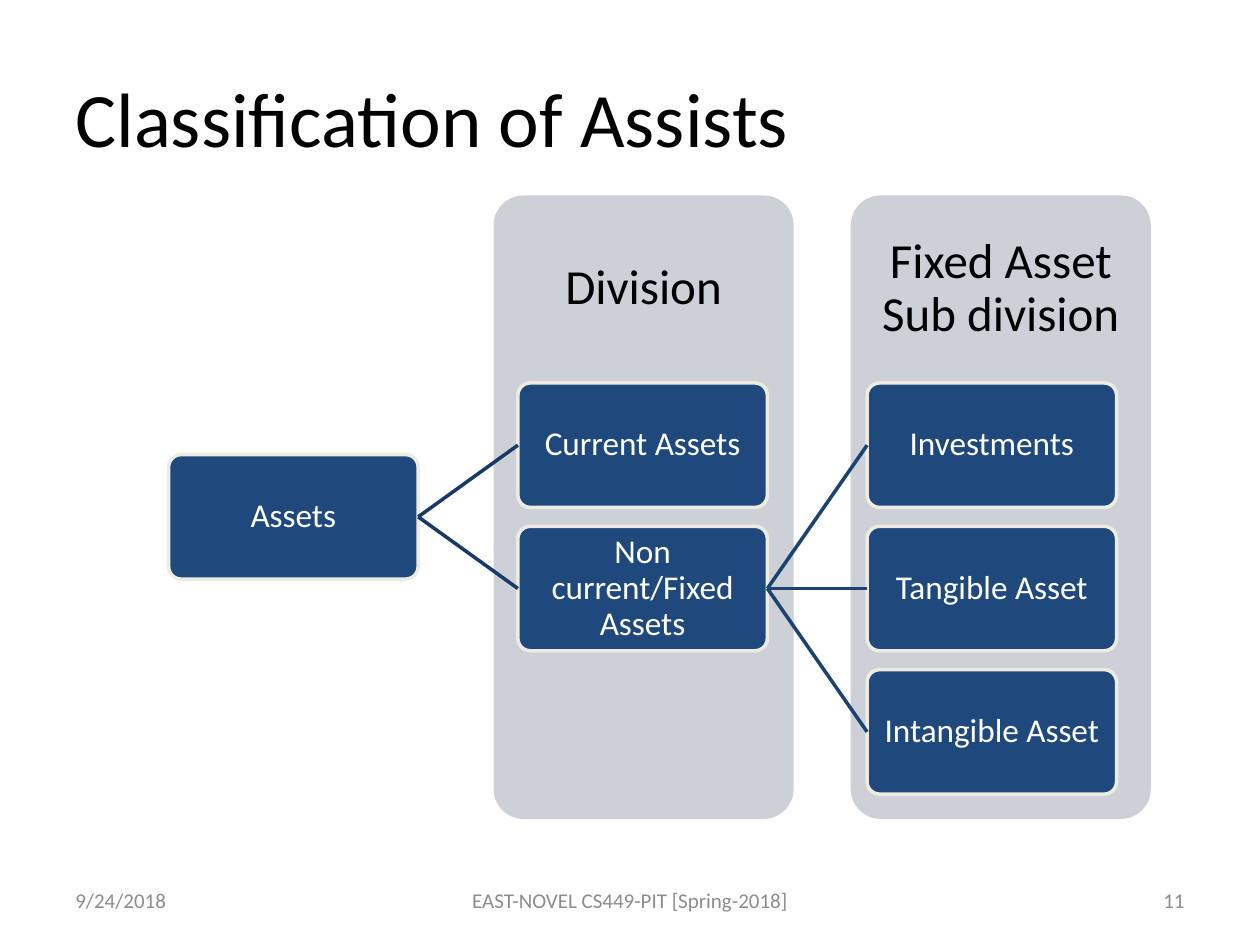
from lxml.etree import SubElement
from pptx import Presentation
from pptx.dml.color import RGBColor
from pptx.enum.shapes import MSO_CONNECTOR as Link, MSO_SHAPE as Shape
from pptx.enum.text import MSO_ANCHOR as Anchor, MSO_AUTO_SIZE as AutoSize, PP_ALIGN as Align
from pptx.oxml.ns import qn
from pptx.util import Cm, Pt

COLORS = {"ink": "000000", "footer": "8C8C8C", "column": "CDD0D7", "node": "1F497D",
          "edge": "EEECE1", "white": "FFFFFF", "first_link": "193A64", "second_link": "1C4271"}
LEFT_SITE, RIGHT_SITE = 1, 3


def color(name):
    """Return the named colour."""
    return RGBColor.from_string(COLORS[name])


def set_text(box, text, size, ink, align, inset=(0.25, 0.13), spacing=None):
    """Write one vertically centred paragraph into a box."""
    frame = box.text_frame
    frame.text = text
    frame.word_wrap = True
    frame.auto_size = AutoSize.NONE
    frame.vertical_anchor = Anchor.MIDDLE
    frame.margin_left = frame.margin_right = Cm(inset[0])
    frame.margin_top = frame.margin_bottom = Cm(inset[1])
    para = frame.paragraphs[0]
    para.alignment = align
    if spacing:
        para.line_spacing = spacing
    for span in para.runs:
        span.font.name = "Calibri"
        span.font.size = Pt(size)
        span.font.color.rgb = color(ink)


def add_text_box(page, left, top, width, height, *text_format, **options):
    """Add a formatted text box."""
    box = page.shapes.add_textbox(Cm(left), Cm(top), Cm(width), Cm(height))
    set_text(box, *text_format, **options)


def add_rounded_box(page, left, top, width, height, fill):
    """Add a flat rounded rectangle."""
    box = page.shapes.add_shape(Shape.ROUNDED_RECTANGLE, Cm(left), Cm(top), Cm(width), Cm(height))
    box.adjustments[0] = 0.1
    box.shadow.inherit = False
    box.fill.solid()
    box.fill.fore_color.rgb = color(fill)
    box.line.fill.background()
    return box


def add_title(page, left, top, width, height):
    """Place the slide title."""
    title = page.shapes.title
    title.left, title.top, title.width, title.height = map(Cm, (left, top, width, height))
    set_text(title, "Classification of Assists", 44, "ink", Align.LEFT)


def add_column(page, left, top, width, height, heading):
    """Add a grey column with its heading in the top three tenths."""
    add_rounded_box(page, left, top, width, height, "column")
    add_text_box(page, left, top, width, height * 0.3, heading, 28, "ink", Align.CENTER,
                 inset=(0.55, 0.55), spacing=0.9)


def add_node(page, left, top, width, height, text):
    """Add one box of the tree."""
    node = add_rounded_box(page, left, top, width, height, "node")
    node.line.color.rgb = color("edge")
    node.line.width = Pt(2)
    set_text(node, text, 19, "white", Align.CENTER, inset=(0.03, 0.03), spacing=0.9)
    return node


def add_link(page, parent, child, ink):
    """Join the right side of a parent to the left side of a child."""
    link = page.shapes.add_connector(Link.STRAIGHT, 0, 0, 0, 0)
    link.begin_connect(parent, RIGHT_SITE)
    link.end_connect(child, LEFT_SITE)
    link.line.color.rgb = color(ink)
    link.line.width = Pt(2)
    SubElement(link._element.spPr, qn("a:effectLst"))


def add_tree(page, left, top):
    """Draw the asset tree on a grid of three levels and three rows."""
    width, height, level_step, row_step = 5.03, 2.51, 7.04, 2.89

    def place(level, row, text):
        """Add a node at a grid position."""
        return add_node(page, left + level * level_step, top + row * row_step, width, height, text)

    root = place(0, 0.5, "Assets")
    divisions = [place(1, row, text)
                 for row, text in enumerate(["Current Assets", "Non current/Fixed Assets"])]
    fixed = [place(2, row, text)
             for row, text in enumerate(["Investments", "Tangible Asset", "Intangible Asset"])]
    for parent, children, ink in [(root, divisions, "first_link"),
                                  (divisions[1], fixed, "second_link")]:
        for child in children:
            add_link(page, parent, child, ink)


def add_footer(page, left, top, width, height):
    """Place date, course and page number along the bottom."""
    side, middle = 5.93, width - 2 * 5.93
    for offset, part, text, align in [
            (0, side, "9/24/2018", Align.LEFT),
            (side, middle, "EAST-NOVEL CS449-PIT [Spring-2018]", Align.CENTER),
            (side + middle, side, "11", Align.RIGHT)]:
        add_text_box(page, left + offset, top, part, height, text, 12, "footer", align)


def build_deck():
    """Build and save the deck."""
    deck = Presentation()
    deck.slide_width, deck.slide_height = Cm(25.4), Cm(19.05)
    page = deck.slides.add_slide(deck.slide_layouts[5])
    add_title(page, 1.27, 0.76, 22.86, 3.18)
    for left, heading in [(17.15, "Fixed Asset Sub division"), (9.95, "Division")]:
        add_column(page, left, 3.94, 6.05, 12.57, heading)
    add_tree(page, 3.4, 7.72)
    add_footer(page, 1.27, 17.65, 22.86, 1.01)
    deck.save("out.pptx")


build_deck()
